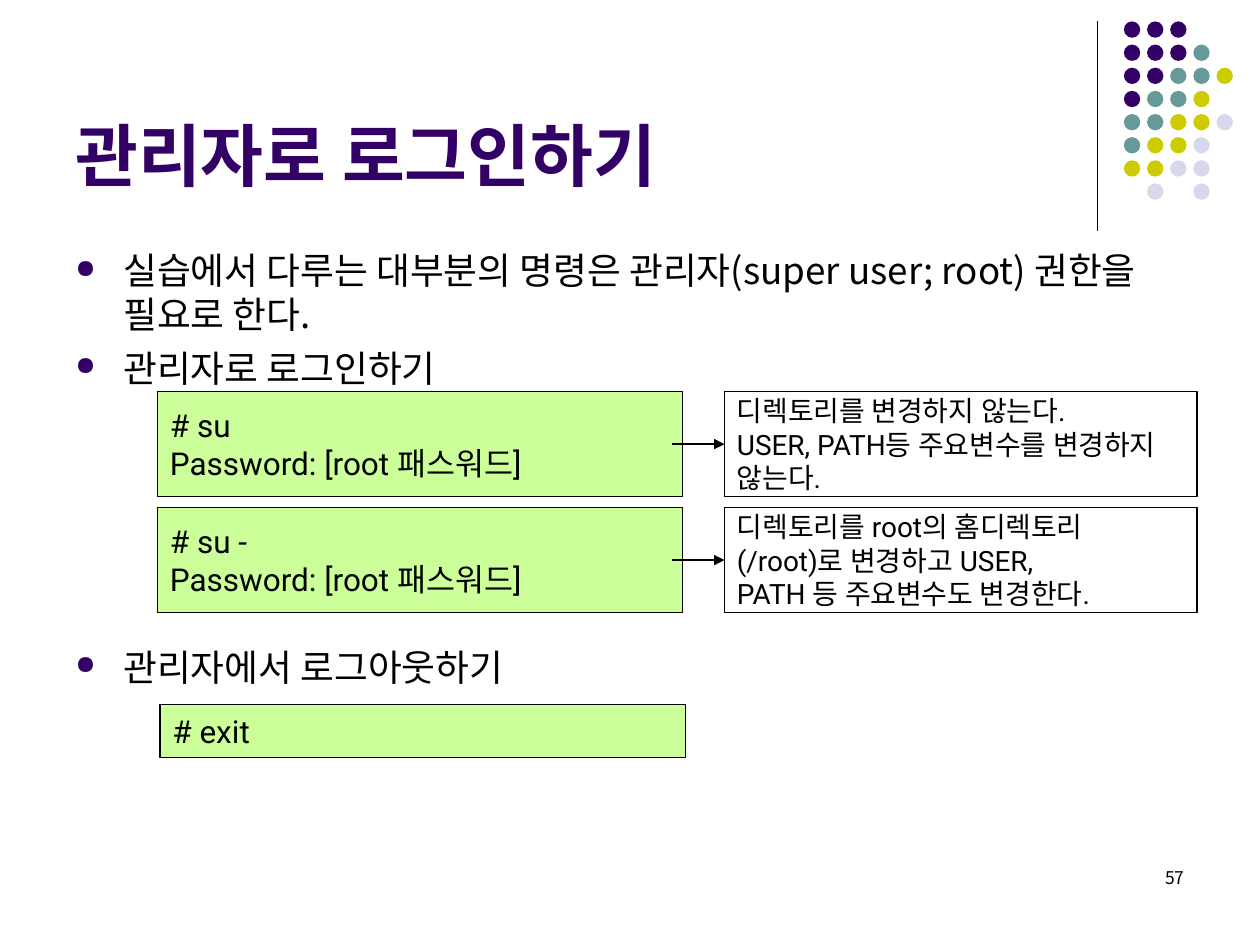
from lxml import etree
from pptx import Presentation
from pptx.dml.color import RGBColor
from pptx.enum.shapes import MSO_CONNECTOR, MSO_SHAPE
from pptx.enum.text import MSO_ANCHOR, PP_ALIGN
from pptx.oxml.ns import qn
from pptx.util import Inches, Pt

COLORS = {
    "text": "000000", "purple": "330066", "teal": "669999",
    "olive": "CCCC00", "lavender": "D8D8EC", "code": "CCFF99",
}
SANS, CODE_FONT = "Noto Sans CJK KR", "Roboto"

TITLE = "관리자로 로그인하기"
PAGE_NUMBER = "57"
BULLETS = [
    ("실습에서 다루는 대부분의 명령은 관리자(super user; root) 권한을 필요로 한다.", 0),
    ("관리자로 로그인하기", 5.2),
    ("관리자에서 로그아웃하기", 145.8),
]
LOGINS = [
    (["# su", "Password: [root 패스워드]"],
     ["디렉토리를 변경하지 않는다.", "USER, PATH등 주요변수를 변경하지", "않는다."]),
    (["# su -", "Password: [root 패스워드]"],
     ["디렉토리를 root의 홈디렉토리", "(/root)로 변경하고 USER,", "PATH 등 주요변수도 변경한다."]),
]
LOGOUT = ["# exit"]
DOT_ROWS = ["PPP", "PPPT", "PPTTO", "PTTO", "TTOOL", "TOOL", "OOLL", " L L"]
DOT_COLORS = {"P": "purple", "T": "teal", "O": "olive", "L": "lavender"}


def color(name):
    return RGBColor.from_string(COLORS[name])


def style(paragraph, size, face, tint="text", bold=False):
    font = paragraph.font
    font.size, font.name, font.bold = Pt(size), face, bold
    font.color.rgb = color(tint)
    defaults = paragraph._p.pPr.find(qn("a:defRPr"))
    etree.SubElement(defaults, qn("a:ea")).set("typeface", face)


def add_bullet(paragraph):
    props = paragraph._p.get_or_add_pPr()
    props.set("marL", str(Inches(0.38)))
    props.set("indent", str(-Inches(0.38)))
    tint = etree.SubElement(props, qn("a:buClr"))
    etree.SubElement(tint, qn("a:srgbClr")).set("val", COLORS["purple"])
    etree.SubElement(props, qn("a:buSzPct")).set("val", "70000")
    etree.SubElement(props, qn("a:buChar")).set("char", "●")


def add_text_frame(left, top, width, height):
    box = slide.shapes.add_textbox(Inches(left), Inches(top), Inches(width), Inches(height))
    box.text_frame.word_wrap = True
    return box.text_frame


def add_panel(left, top, width, height, lines, size, fill=None):
    panel = slide.shapes.add_shape(
        MSO_SHAPE.RECTANGLE, Inches(left), Inches(top), Inches(width), Inches(height))
    panel.shadow.inherit = False
    if fill:
        panel.fill.solid()
        panel.fill.fore_color.rgb = color(fill)
    else:
        panel.fill.background()
    panel.line.color.rgb = color("text")
    panel.line.width = Pt(0.75)
    frame = panel.text_frame
    frame.word_wrap = True
    frame.vertical_anchor = MSO_ANCHOR.MIDDLE
    frame.text = "\n".join(lines)
    for paragraph in frame.paragraphs:
        paragraph.alignment = PP_ALIGN.LEFT
        style(paragraph, size, CODE_FONT)
    return panel


def add_line(x1, y1, x2, y2):
    line = slide.shapes.add_connector(
        MSO_CONNECTOR.STRAIGHT, Inches(x1), Inches(y1), Inches(x2), Inches(y2))
    line.line.color.rgb = color("text")
    line.line.width = Pt(0.75)
    etree.SubElement(line._element.spPr, qn("a:effectLst"))
    return line


deck = Presentation()
deck.slide_width, deck.slide_height = Inches(10), Inches(7.5)
slide = deck.slides.add_slide(deck.slide_layouts[6])

add_line(8.71, 0.17, 8.71, 1.83)
DOT_SIZE, DOT_PITCH = 0.13, 0.18375
for row, marks in enumerate(DOT_ROWS):
    for column, mark in enumerate(marks):
        if mark in DOT_COLORS:
            dot = slide.shapes.add_shape(
                MSO_SHAPE.OVAL, Inches(8.92 + column * DOT_PITCH),
                Inches(0.17 + row * DOT_PITCH), Inches(DOT_SIZE), Inches(DOT_SIZE))
            dot.shadow.inherit = False
            dot.fill.solid()
            dot.fill.fore_color.rgb = color(DOT_COLORS[mark])
            dot.line.fill.background()

number = add_text_frame(7.17, 6.83, 2.33, 0.5)
number.text = PAGE_NUMBER
number.paragraphs[0].alignment = PP_ALIGN.RIGHT
style(number.paragraphs[0], 10, SANS)

title = add_text_frame(0.5, 0.18, 8.25, 1.42)
title.text = TITLE
title.vertical_anchor = MSO_ANCHOR.BOTTOM
style(title.paragraphs[0], 39, SANS, "purple", True)

body = add_text_frame(0.5, 1.92, 9, 4.78)
body.text = "\n".join(text for text, _ in BULLETS)
for paragraph, (_, gap) in zip(body.paragraphs, BULLETS):
    paragraph.line_spacing = Pt(25.2)
    if gap:
        paragraph.space_before = Pt(gap)
    add_bullet(paragraph)
    style(paragraph, 21, SANS)

PANEL_HEIGHT = 0.83
for index, (commands, notes) in enumerate(LOGINS):
    top = 3.11 + index * 0.92
    middle = top + PANEL_HEIGHT / 2
    add_panel(1.25, top, 4.17, PANEL_HEIGHT, commands, 18, "code")
    note = add_panel(5.75, top, 3.75, PANEL_HEIGHT, notes, 16)
    arrow = add_line(5.33, middle, 5.75, middle)
    arrow.end_connect(note, 1)
    etree.SubElement(arrow.line._get_or_add_ln(), qn("a:tailEnd")).set("type", "triangle")

add_panel(1.27, 5.59, 4.17, 0.42, LOGOUT, 18, "code")

deck.save("out.pptx")
